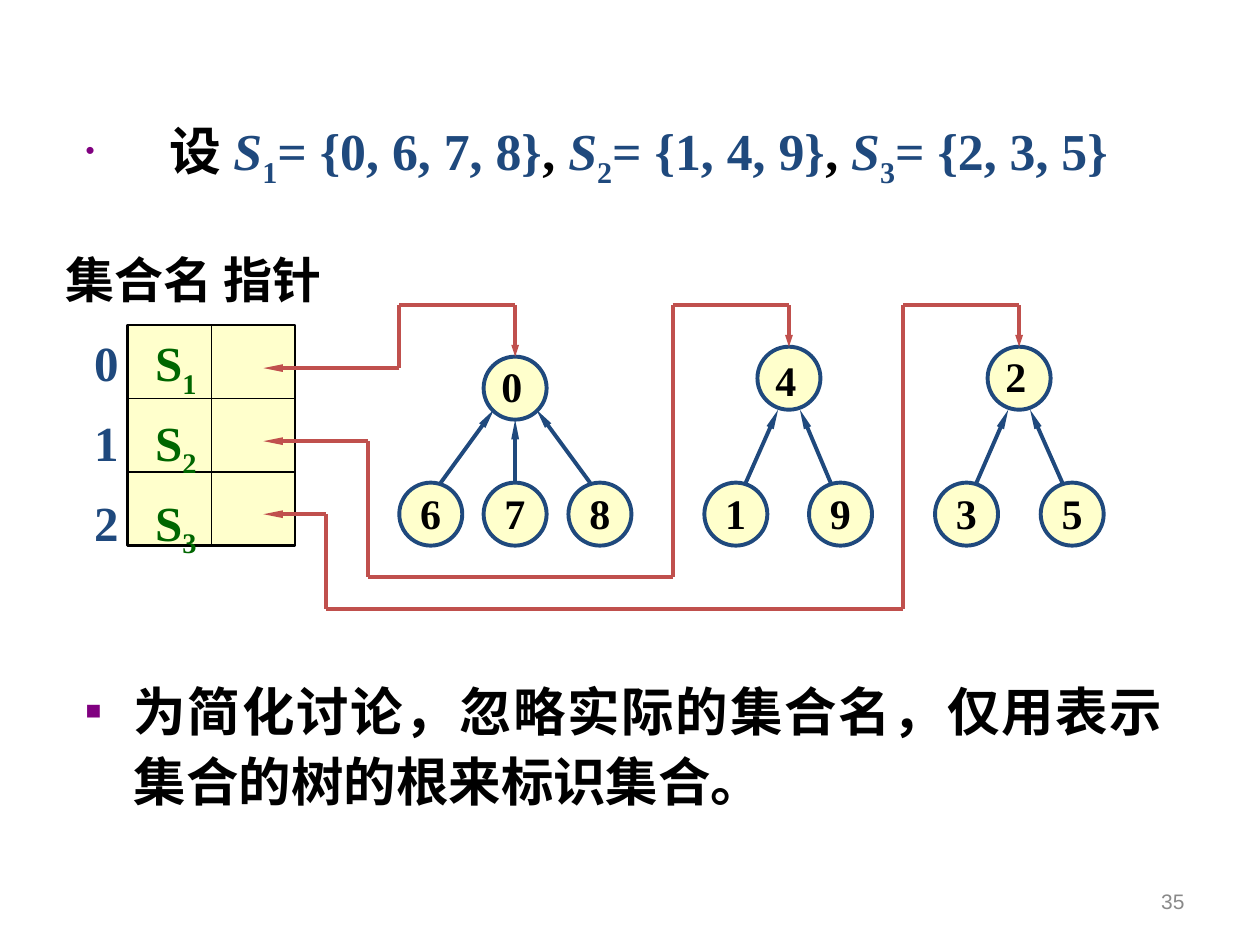
from dataclasses import dataclass

from lxml import etree
from pptx import Presentation
from pptx.dml.color import RGBColor
from pptx.enum.shapes import MSO_CONNECTOR, MSO_SHAPE
from pptx.enum.text import MSO_ANCHOR, MSO_AUTO_SIZE, PP_ALIGN
from pptx.oxml.ns import qn
from pptx.util import Cm, Pt

STRAIGHT = MSO_CONNECTOR.STRAIGHT
RECTANGLE, CIRCLE = MSO_SHAPE.RECTANGLE, MSO_SHAPE.OVAL
TOP, MIDDLE = MSO_ANCHOR.TOP, MSO_ANCHOR.MIDDLE
LEFT, RIGHT, JUSTIFY = PP_ALIGN.LEFT, PP_ALIGN.RIGHT, PP_ALIGN.JUSTIFY
NO_FIT = MSO_AUTO_SIZE.NONE


@dataclass(frozen=True)
class Theme:
    """Colours, fonts and type sizes of the slide."""
    ink: str = "000000"
    blue: str = "1F497D"
    green: str = "006600"
    red: str = "C0504D"
    purple: str = "800080"
    cream: str = "FFFFCC"
    grey: str = "898989"
    serif: str = "Times New Roman"
    sans: str = "Arial"
    chinese: str = "Noto Sans CJK SC"
    formula: float = 29.6
    body: float = 30
    heading: float = 28
    node: float = 24
    footer: float = 12
    thick: float = 2.25
    border: float = 1.5
    thin: float = 0.75


THEME = Theme()
NODE_SIZE = 1.27
LEAF_TOP = 9.73
EDGE_END = 8.26
POINTER_TOP = 6.15
POINTER_START = 5.31
TABLE_LEFT, TABLE_TOP, TABLE_WIDTH, TABLE_HEIGHT = 2.57, 6.55, 3.38, 4.45
ROW_HEIGHT = TABLE_HEIGHT / 3
SETS = [("1", "{0, 6, 7, 8}"), ("2", "{1, 4, 9}"), ("3", "{2, 3, 5}")]
TREES = [
    {"root": "0", "left": 9.75, "top": 7.19, "label_shift": -0.05, "spread": 0.43,
     "leaves": [("6", 8.05), ("7", 9.75), ("8", 11.46)]},
    {"root": "4", "left": 15.27, "top": 6.99, "label_shift": 0.03, "spread": 0.22,
     "leaves": [("1", 14.2), ("9", 16.31)]},
    {"root": "2", "left": 19.91, "top": 6.99, "label_shift": -0.05, "spread": 0.22,
     "leaves": [("3", 18.85), ("5", 20.98)]},
]
POINTER_BENDS = [(8.05, None, 8.05), (7.42, 11.63, 13.56), (6.58, 12.27, 18.21)]


def rgb(colour):
    """Turn a hex string into a colour."""
    return RGBColor.from_string(colour)


def add_run(paragraph, text, size, colour, face=THEME.serif, bold=True, italic=False,
            subscript=False):
    """Append one formatted run to a paragraph."""
    run = paragraph.add_run()
    run.text = text
    formats = {"size": Pt(size), "name": face, "bold": bold, "italic": italic}
    for name, value in formats.items():
        setattr(run.font, name, value)
    run.font.color.rgb = rgb(colour)
    properties = run._r.get_or_add_rPr()
    etree.SubElement(properties, qn("a:ea"), typeface=THEME.chinese)
    if subscript:
        properties.set("baseline", "-25000")


def format_paragraph(paragraph, spacing=1.0, before=0, align=LEFT):
    """Set line spacing, space before and alignment."""
    formats = {"line_spacing": spacing, "space_before": Pt(before), "alignment": align}
    for name, value in formats.items():
        setattr(paragraph, name, value)


def format_frame(frame, anchor=TOP):
    """Make a text frame wrap at a fixed size."""
    formats = {"word_wrap": True, "auto_size": NO_FIT, "vertical_anchor": anchor}
    for name, value in formats.items():
        setattr(frame, name, value)


def place_list_item(placeholder, box, bullet, indent, spacing, align=LEFT):
    """Move a body placeholder and return its bulleted paragraph."""
    for name, value in zip(("left", "top", "width", "height"), box):
        setattr(placeholder, name, Cm(value))
    format_frame(placeholder.text_frame)
    paragraph = placeholder.text_frame.paragraphs[0]
    properties = paragraph._p.get_or_add_pPr()
    properties.set("marL", str(Cm(indent)))
    properties.set("indent", str(-Cm(indent)))
    colour = etree.SubElement(properties, qn("a:buClr"))
    etree.SubElement(colour, qn("a:srgbClr"), val=THEME.purple)
    etree.SubElement(properties, qn("a:buSzPct"), val="50000")
    etree.SubElement(properties, qn("a:buFont"), typeface=THEME.sans)
    etree.SubElement(properties, qn("a:buChar"), char=bullet)
    format_paragraph(paragraph, spacing, align=align)
    return paragraph


def add_label(slide, text, box, size, colour=THEME.ink, face=THEME.serif, bold=True,
              align=LEFT, anchor=TOP):
    """Add a one-line text box."""
    frame = slide.shapes.add_textbox(*map(Cm, box)).text_frame
    format_frame(frame, anchor)
    format_paragraph(frame.paragraphs[0], align=align)
    add_run(frame.paragraphs[0], text, size, colour, face, bold)


def add_outline(slide, kind, box, colour, weight):
    """Add a cream shape with a coloured outline."""
    outline = slide.shapes.add_shape(kind, *map(Cm, box))
    outline.shadow.inherit = False
    outline.fill.solid()
    outline.fill.fore_color.rgb = rgb(THEME.cream)
    outline.line.color.rgb = rgb(colour)
    outline.line.width = Pt(weight)


def add_line(slide, start, end, colour, weight=THEME.thick, arrow=None):
    """Add a straight line, with an arrowhead of the given length at its end."""
    line = slide.shapes.add_connector(STRAIGHT, *map(Cm, (*start, *end)))
    line.line.color.rgb = rgb(colour)
    line.line.width = Pt(weight)
    if arrow:
        etree.SubElement(line.line._get_or_add_ln(), qn("a:tailEnd"),
                         type="triangle", w="sm", len=arrow)
    etree.SubElement(line._element.spPr, qn("a:effectLst"))


def add_node(slide, value, left, top, label_left, label_shift):
    """Add a tree node and its value."""
    add_outline(slide, CIRCLE, (left, top, NODE_SIZE, NODE_SIZE), THEME.blue, THEME.thick)
    add_label(slide, value, (left + label_left, top + label_shift, 1.07, NODE_SIZE), THEME.node)


def add_tree(slide, tree):
    """Add a root, its leaves and the arrows from leaf to root."""
    for value, left in tree["leaves"]:
        side = 0 if left == tree["left"] else (1 if left > tree["left"] else -1)
        start = (left + NODE_SIZE / 2 - 0.2 * side, LEAF_TOP)
        end = (tree["left"] + NODE_SIZE / 2 + tree["spread"] * side,
               EDGE_END if side else tree["top"] + NODE_SIZE)
        add_line(slide, start, end, THEME.blue, arrow="lg")
        add_node(slide, value, left, LEAF_TOP, 0.17, -0.03)
    add_node(slide, tree["root"], tree["left"], tree["top"], 0.11, tree["label_shift"])


def add_pointer(slide, row, tree, bends):
    """Add the bent link between a table row and the root of its tree."""
    near, low, far = bends
    cell_y = TABLE_TOP + ROW_HEIGHT * row + 0.87 - 0.01 * row
    root_x = tree["left"] + NODE_SIZE / 2
    detour = [(near, low), (far, low)] if low else []
    points = [(near, cell_y), *detour, (far, POINTER_TOP), (root_x, POINTER_TOP)]
    add_line(slide, points[0], (POINTER_START, cell_y), THEME.red, arrow="lg")
    for start, end in zip(points, points[1:]):
        add_line(slide, start, end, THEME.red)
    add_line(slide, points[-1], (root_x, tree["top"]), THEME.red, arrow="med")


def add_set_table(slide):
    """Add the grid of set names and pointers with its row numbers."""
    add_outline(slide, RECTANGLE, (TABLE_LEFT, TABLE_TOP, TABLE_WIDTH, TABLE_HEIGHT),
                THEME.ink, THEME.border)
    middle, right = TABLE_LEFT + TABLE_WIDTH / 2, TABLE_LEFT + TABLE_WIDTH
    add_line(slide, (middle, TABLE_TOP), (middle, TABLE_TOP + TABLE_HEIGHT), THEME.ink, THEME.thin)
    for row in (1, 2):
        y = TABLE_TOP + ROW_HEIGHT * row
        add_line(slide, (TABLE_LEFT, y), (right, y), THEME.ink, THEME.thin)
    add_label(slide, "集合名 指针", (1.07, 4.9, 6.53, 1.45), THEME.heading, face=THEME.chinese)
    frame = slide.shapes.add_textbox(Cm(1.65), Cm(6.45), Cm(2.57), Cm(4.95)).text_frame
    format_frame(frame)
    frame.margin_right = 0
    for row, (index, _) in enumerate(SETS):
        paragraph = frame.add_paragraph() if row else frame.paragraphs[0]
        tabs = etree.SubElement(paragraph._p.get_or_add_pPr(), qn("a:tabLst"))
        etree.SubElement(tabs, qn("a:tab"), pos=str(Cm(1.23)), algn="l")
        format_paragraph(paragraph, 1.1, 3.5 if row else 0)
        add_run(paragraph, f"{row}\t", THEME.heading, THEME.blue)
        add_run(paragraph, "S", THEME.heading, THEME.green)
        add_run(paragraph, index, THEME.heading, THEME.green, subscript=True)


def write_formula(paragraph):
    """Write the three set definitions."""
    add_run(paragraph, "设 ", THEME.formula, THEME.ink)
    for position, (index, members) in enumerate(SETS):
        if position:
            add_run(paragraph, ", ", THEME.formula, THEME.ink)
        add_run(paragraph, "S", THEME.formula, THEME.blue, italic=True)
        add_run(paragraph, index, THEME.formula, THEME.blue, subscript=True)
        add_run(paragraph, f"= {members}", THEME.formula, THEME.blue)


def main():
    """Build and save the slide."""
    deck = Presentation()
    deck.slide_width, deck.slide_height = Cm(25.4), Cm(19.05)
    slide = deck.slides.add_slide(deck.slide_layouts[3])
    title, definition, remark = slide.placeholders
    title.element.getparent().remove(title.element)
    write_formula(place_list_item(definition, (1.47, 2.26, 23.01, 2.18), "•", 1.7, 0.95))
    conclusion = place_list_item(remark, (1.47, 13.44, 22.23, 3.38), "■", 0.97, 1.1, JUSTIFY)
    add_run(conclusion, "为简化讨论，忽略实际的集合名，仅用表示集合的树的根来标识集合。",
            THEME.body, THEME.ink, THEME.sans)
    add_set_table(slide)
    for row, (tree, bends) in enumerate(zip(TREES, POINTER_BENDS)):
        add_tree(slide, tree)
        add_pointer(slide, row, tree, bends)
    add_label(slide, "35", (18.21, 17.65, 5.92, 1.02), THEME.footer, THEME.grey, THEME.sans,
              False, RIGHT, MIDDLE)
    deck.save("out.pptx")


if __name__ == "__main__":
    main()
